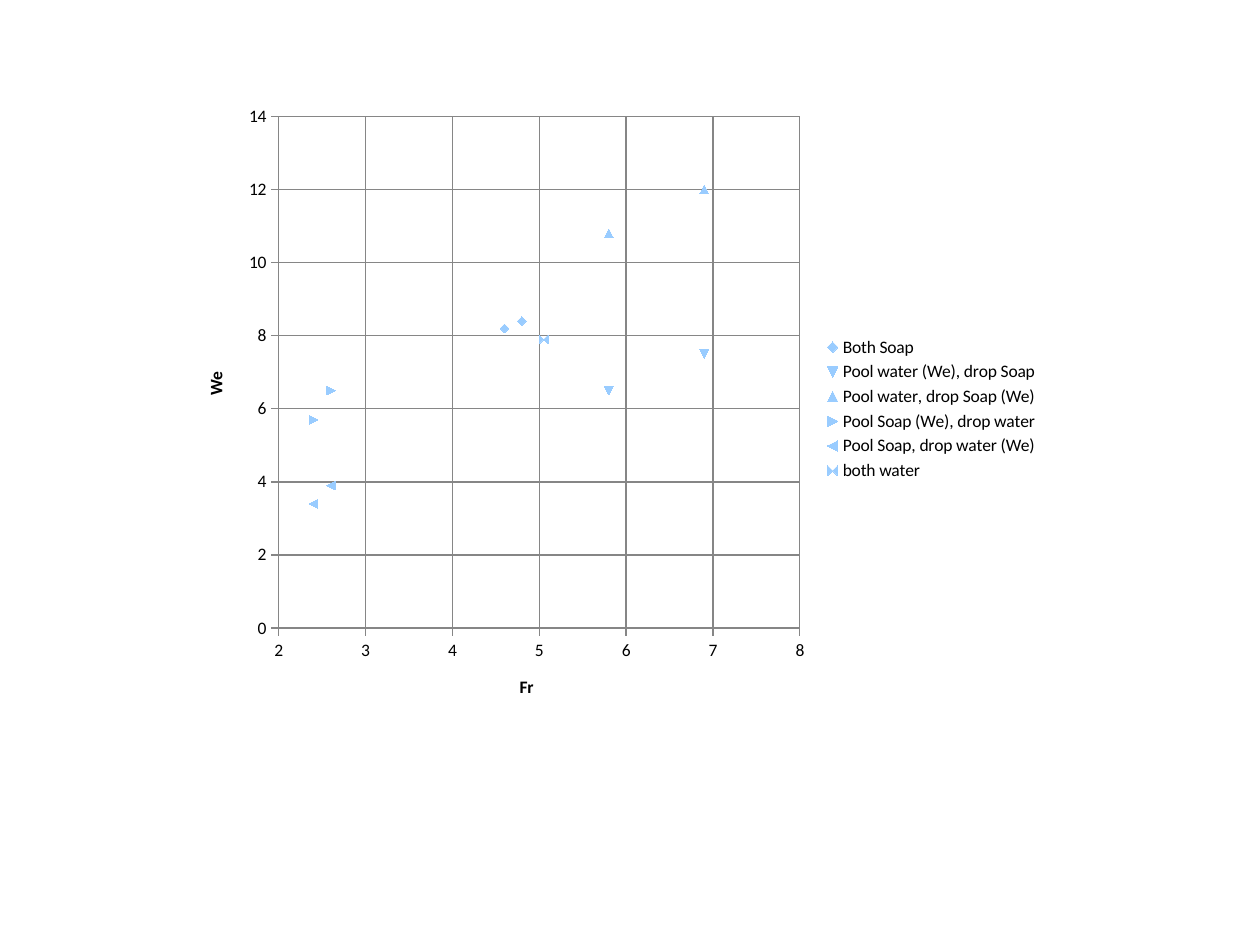
from pptx import Presentation
from pptx.chart.data import XyChartData
from pptx.dml.color import RGBColor
from pptx.enum.chart import XL_CHART_TYPE, XL_LEGEND_POSITION, XL_TICK_MARK
from pptx.util import Pt

PX = 914400 // 126
COLORS = {"text": "000000", "grid": "868686"}
FONT = "Calibri"

# Points of each series as (Fr, We)
SERIES = {
    "Both Soap": [(4.8, 8.4), (4.6, 8.2)],
    "Pool water (We), drop Soap": [(6.9, 7.5), (5.8, 6.5)],
    "Pool water, drop Soap (We)": [(6.9, 12), (5.8, 10.8)],
    "Pool Soap (We), drop water": [(2.6, 6.5), (2.4, 5.7)],
    "Pool Soap, drop water (We)": [(2.6, 3.9), (2.4, 3.4)],
    "both water": [(5.05, 7.9)],
}

presentation = Presentation()
presentation.slide_width = 1260 * PX
presentation.slide_height = 945 * PX
slide = presentation.slides.add_slide(presentation.slide_layouts[6])

# Scatter chart
chart_data = XyChartData()
for name, points in SERIES.items():
    series = chart_data.add_series(name)
    for froude, weber in points:
        series.add_data_point(froude, weber)
chart = slide.shapes.add_chart(
    XL_CHART_TYPE.XY_SCATTER, 179 * PX, 94 * PX, 872 * PX, 630 * PX, chart_data
).chart
chart.has_title = False
chart.font.name = FONT
chart.font.size = Pt(10)
chart.font.color.rgb = RGBColor.from_string(COLORS["text"])

# Legend
chart.has_legend = True
chart.legend.position = XL_LEGEND_POSITION.RIGHT
chart.legend.include_in_layout = False

# Axes with titles and gridlines
for axis, title, minimum, maximum, step in (
    (chart.category_axis, "Fr", 2, 8, 1),
    (chart.value_axis, "We", 0, 14, 2),
):
    axis.minimum_scale = minimum
    axis.maximum_scale = maximum
    axis.major_unit = step
    axis.major_tick_mark = XL_TICK_MARK.CROSS
    axis.minor_tick_mark = XL_TICK_MARK.NONE
    axis.has_major_gridlines = True
    for line in (axis.format.line, axis.major_gridlines.format.line):
        line.color.rgb = RGBColor.from_string(COLORS["grid"])
        line.width = Pt(0.75)
    paragraph = axis.axis_title.text_frame.paragraphs[0]
    paragraph.text = title
    paragraph.font.name = FONT
    paragraph.font.size = Pt(10)
    paragraph.font.bold = True
    paragraph.font.color.rgb = RGBColor.from_string(COLORS["text"])

presentation.save("out.pptx")
